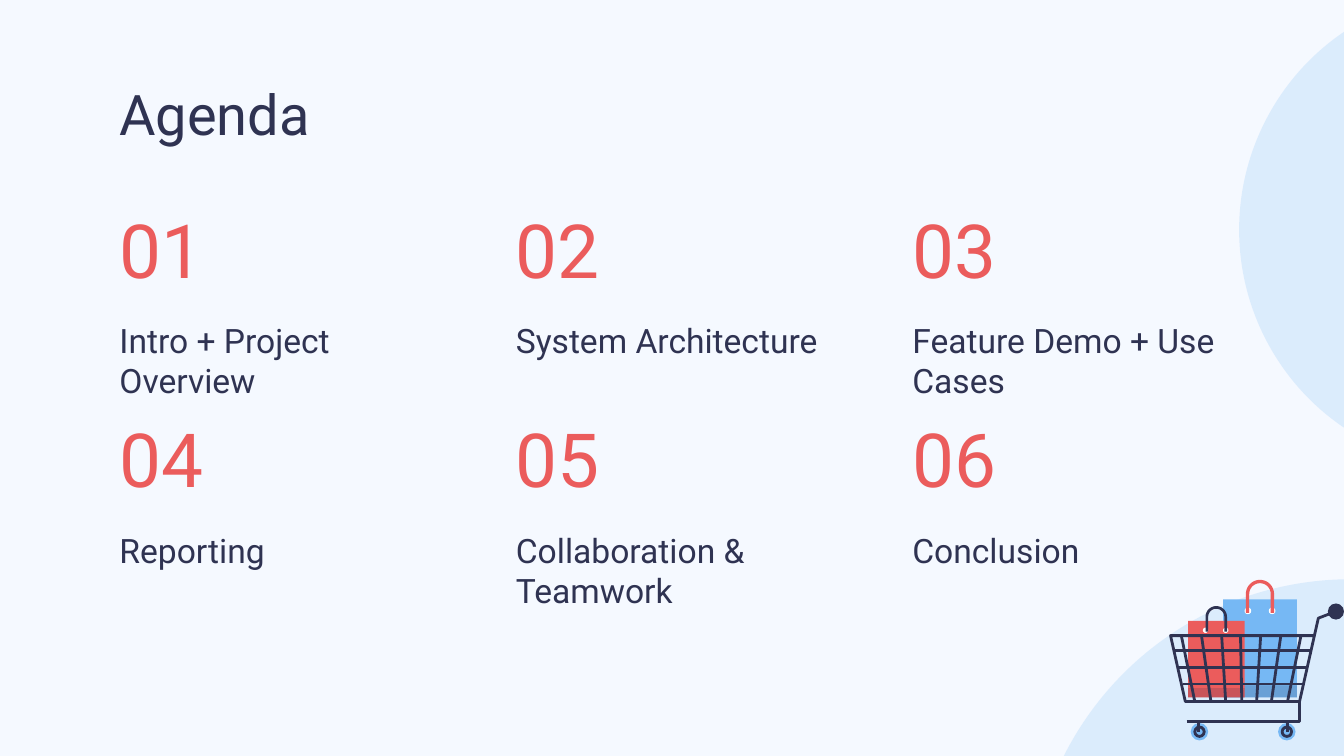
import math
from dataclasses import dataclass

import pptx
import pptx.dml.color
import pptx.enum.shapes
import pptx.enum.text
import pptx.oxml
import pptx.oxml.ns
import pptx.util

PX = 9144  # 100 px to the inch
RGB = pptx.dml.color.RGBColor.from_string
KIND = pptx.enum.shapes.MSO_SHAPE
ANCHOR = pptx.enum.text.MSO_ANCHOR


@dataclass
class Theme:
    font: str = "Roboto"
    back: str = "F5F9FF"
    ink: str = "2F3352"
    red: str = "EB5C5C"
    blue: str = "76B8F4"
    white: str = "FFFFFF"
    title: int = 30
    number: int = 40
    body: int = 18
    line: float = 1.5


theme = Theme()
deck = pptx.Presentation()
deck.slide_width = pptx.util.Pt(720)
deck.slide_height = pptx.util.Pt(405)  # 16:9
slide = deck.slides.add_slide(deck.slide_layouts[6])
slide.background.fill.solid()
slide.background.fill.fore_color.rgb = RGB(theme.back)
shapes = slide.shapes


def write(text, box, size, color=theme.ink, anchor=ANCHOR.TOP):
    frame = shapes.add_textbox(*[n * PX for n in box]).text_frame
    frame.word_wrap = True
    frame.vertical_anchor = anchor
    frame.margin_left = frame.margin_right = 10 * PX
    frame.margin_top = frame.margin_bottom = 10 * PX
    run = frame.paragraphs[0].add_run()
    run.text = text
    run.font.name = theme.font
    run.font.size = pptx.util.Pt(size)
    run.font.color.rgb = RGB(color)


def draw(kind, box, color, alpha=100):
    shape = shapes.add_shape(kind, *[n * PX for n in box])
    shape.shadow.inherit = False
    shape.line.fill.background()
    shape.fill.solid()
    shape.fill.fore_color.rgb = RGB(color)
    if alpha < 100:
        tint = shape.fill._xPr.find(".//" + pptx.oxml.ns.qn("a:srgbClr"))
        node = pptx.oxml.parse_xml(
            f'<a:alpha {pptx.oxml.ns.nsdecls("a")} val="{alpha * 1000}"/>')
        tint.append(node)
    return shape


# Pale circles
for left, top, size in [(766, 431, 478), (922, -7, 356)]:
    draw(KIND.OVAL, (left, top, size, size), theme.blue, alpha=20)

# Title and agenda grid
write("Agenda", (79, 49, 843, 63), theme.title)
topics = ["Intro + Project Overview", "System Architecture",
          "Feature Demo + Use Cases", "Reporting",
          "Collaboration & Teamwork", "Conclusion"]
for i, topic in enumerate(topics):
    row, col = divmod(i, 3)
    left, top = 79 + 295 * col, 179 + 156 * row
    write(f"{i + 1:02}", (left, top, 103, 49), theme.number,
          color=theme.red, anchor=ANCHOR.BOTTOM)
    write(topic, (left, top + 49, 252, 80), theme.body)

# Knob of the cart handle
draw(KIND.OVAL, (988, 449, 12, 12), theme.ink)

# Bags: box, shaded foot, eyelets, then a strap bent over a half circle
bags = [
    ((910, 446, 55, 73), 9, theme.blue, (926, 944, 452, 5), theme.red,
     (937.5, 442, 456, 10.5, 8)),
    ((884, 462, 42, 57), 7, theme.red, (895, 910, 467, 4), theme.ink,
     (905, 459, 470, 8, 6)),
]
for box, foot, color, eyes, tone, strap in bags:
    left, top, width, height = box
    draw(KIND.RECTANGLE, box, color)
    draw(KIND.RECTANGLE, (left, top + height - foot, width, foot),
         theme.ink, alpha=18)
    *sides, level, size = eyes
    for x in sides:
        draw(KIND.OVAL, (x, level, size, size), theme.white)
    mid, bend, end, outer, inner = strap
    points = []
    for radius, turn in [(outer, 1), (inner, -1)]:
        arc = [(mid - radius * math.cos(math.pi * n / 24),
                bend - radius * math.sin(math.pi * n / 24))
               for n in range(25)]
        side = [(mid - radius, end), *arc, (mid + radius, end)]
        points += side[::turn]
    points = [(x * PX, y * PX) for x, y in points]
    pen = shapes.build_freeform(*points[0])
    pen.add_line_segments(points[1:], close=True)
    loop = pen.convert_to_shape()
    loop.shadow.inherit = False
    loop.fill.solid()
    loop.fill.fore_color.rgb = RGB(tone)
    loop.line.fill.background()

# Wheels
for left in (886, 951):
    draw(KIND.OVAL, (left, 538, 13, 13), theme.blue)
    ring = draw(KIND.OVAL, (left + 3, 541, 7, 7), theme.ink)
    ring.fill.background()
    ring.line.color.rgb = RGB(theme.ink)
    ring.line.width = pptx.util.Pt(theme.line)

# Cart frame and base rail
frames = [
    [(978, 473), (871, 473), (882, 522), (967, 522), (981, 460), (994, 455)],
    [(883, 537), (967, 537), (967, 522)],
]
for points in frames:
    points = [(x * PX, y * PX) for x, y in points]
    pen = shapes.build_freeform(*points[0])
    pen.add_line_segments(points[1:], close=False)
    rail = pen.convert_to_shape()
    rail.shadow.inherit = False
    rail.fill.background()
    rail.line.color.rgb = RGB(theme.ink)
    rail.line.width = pptx.util.Pt(theme.line)

# Axles and basket wires
wires = [(x, 537, x, 545) for x in (958, 892)]
wires += [(top, 473, low, 522) for top, low in [
    (968, 958), (953, 946), (938, 935), (923, 924),
    (909, 912), (894, 901), (879, 889)]]
wires += [(right, y, left, y) for right, left, y in [
    (975, 874, 484), (972, 877, 497), (970, 880, 509)]]
for wire in wires:
    bar = shapes.add_connector(pptx.enum.shapes.MSO_CONNECTOR.STRAIGHT,
                               *[n * PX for n in wire])
    bar.line.color.rgb = RGB(theme.ink)
    bar.line.width = pptx.util.Pt(theme.line)
    bar._element.spPr.append(pptx.oxml.parse_xml(
        f'<a:effectLst {pptx.oxml.ns.nsdecls("a")}/>'))

deck.save("out.pptx")
